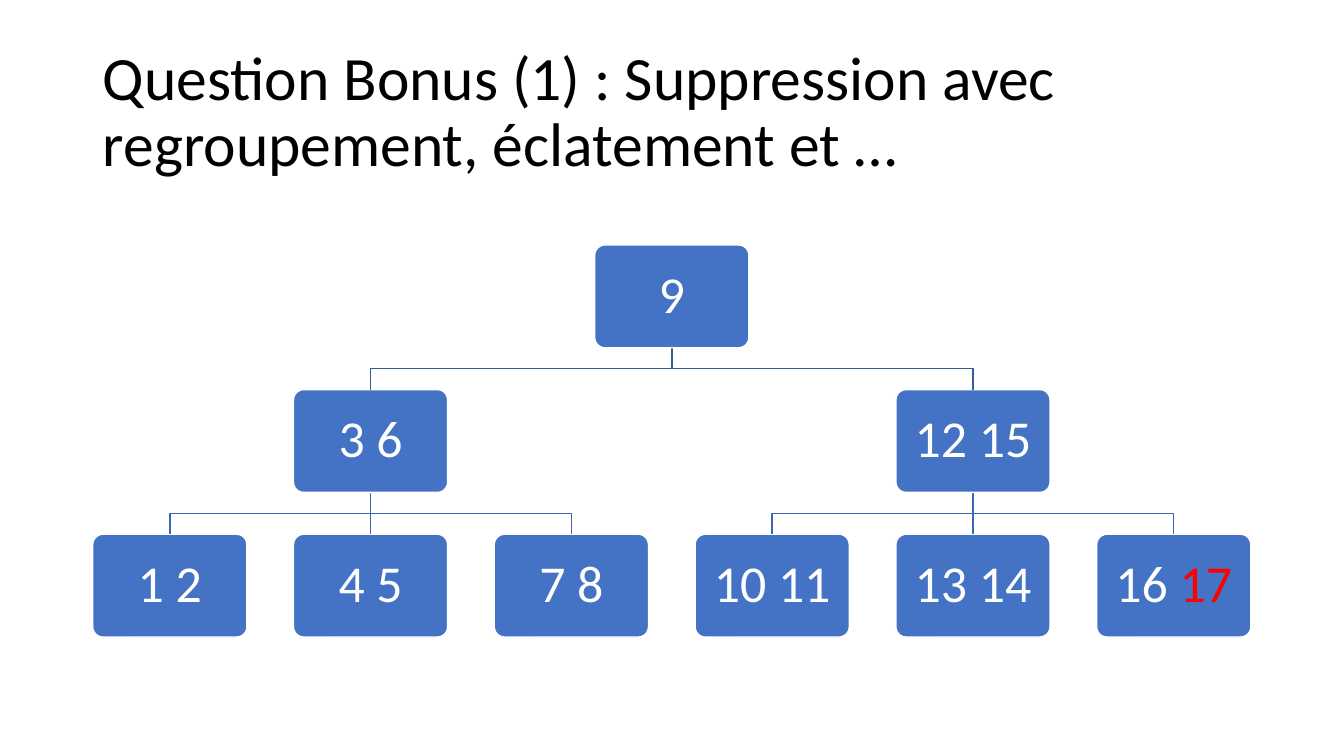
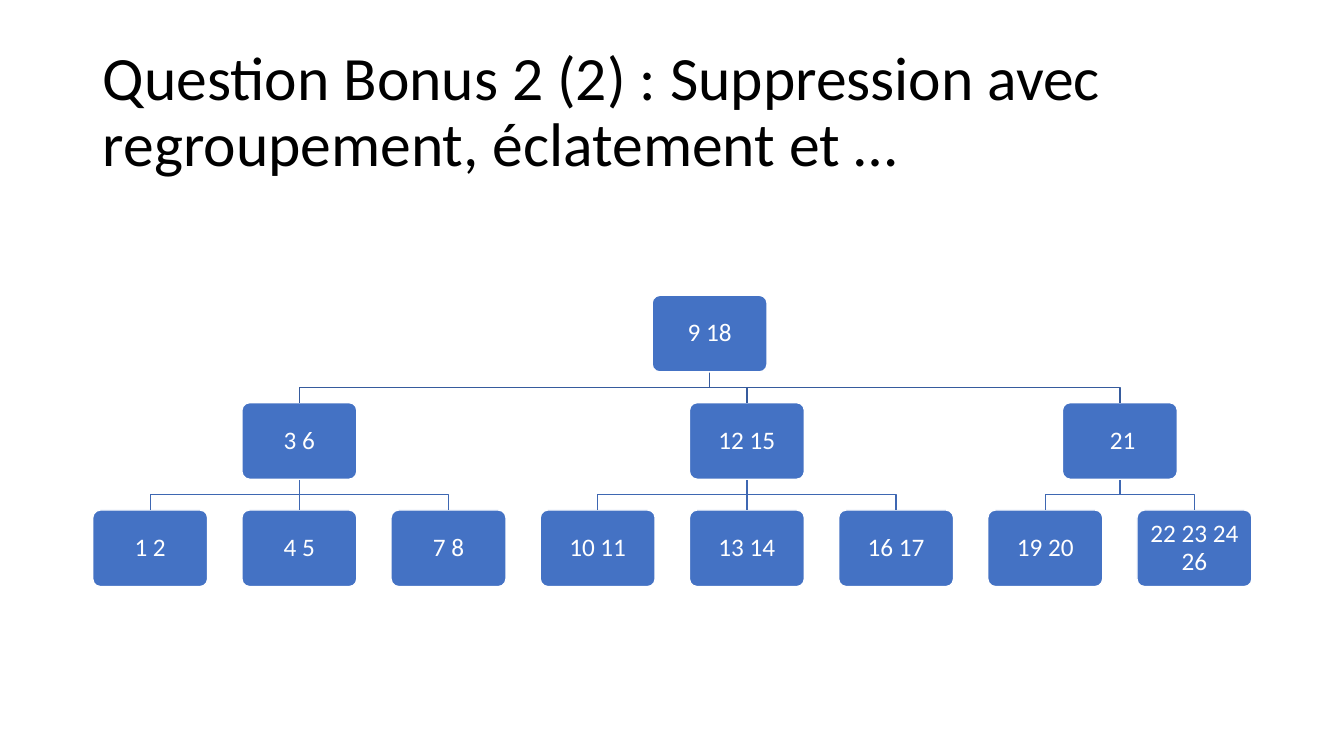
from dataclasses import dataclass

from lxml import etree
from pptx import Presentation
from pptx import util as u
from pptx.dml.color import RGBColor
from pptx.enum import shapes, text
from pptx.oxml.ns import qn

SCALE = 9144
FONT = "Calibri"
BLACK, WHITE, RED, BLUE = "000000", "FFFFFF", "FF0000", "4472C4"
LINE_COLORS = ["365B9D", "3E67B2"]
LEFT = 92


@dataclass
class Node:
    """A tree node: its keys, its children and an optional highlighted key."""
    keys: str
    children: tuple = ()
    accent: str = ""


@dataclass
class Layout:
    """Measures of a tree in px, with its text size in points."""
    top: int
    bottom_row: int
    width: int
    height: int
    right: int
    inset: int
    size: int


def px(n):
    """Turn px into EMU."""
    return u.Emu(round(n * SCALE))


def rgb(value):
    """Turn a hex string into a colour."""
    return RGBColor.from_string(value)


def add_text(p, content, size, color):
    """Add a formatted run to a paragraph."""
    r = p.add_run()
    r.text = content
    r.font.name = FONT
    r.font.size = u.Pt(size)
    r.font.color.rgb = rgb(color)


def format_frame(tf, align, inset_x, inset_y):
    """Set the shared frame format and return the first paragraph."""
    tf.word_wrap = True
    tf.auto_size = text.MSO_AUTO_SIZE.NONE
    tf.vertical_anchor = text.MSO_ANCHOR.MIDDLE
    tf.margin_left = tf.margin_right = px(inset_x)
    tf.margin_top = tf.margin_bottom = px(inset_y)
    p = tf.paragraphs[0]
    p.alignment = align
    p.line_spacing = 0.9
    return p


def add_slide(prs, title):
    """Add a title-only slide."""
    s = prs.slides.add_slide(prs.slide_layouts[5])
    sp = s.shapes.title
    sp.left, sp.top, sp.width, sp.height = map(px, (LEFT, 40, 1150, 145))
    p = format_frame(sp.text_frame, text.PP_ALIGN.LEFT, 10, 5)
    add_text(p, title, 44, BLACK)
    return s


def add_box(s, node, x, y, layout):
    """Draw a node box centred on x."""
    sp = s.shapes.add_shape(
        shapes.MSO_SHAPE.ROUNDED_RECTANGLE,
        px(x - layout.width / 2), px(y), px(layout.width), px(layout.height))
    sp.adjustments[0] = 0.1
    sp.shadow.inherit = False
    sp.fill.solid()
    sp.fill.fore_color.rgb = rgb(BLUE)
    sp.line.color.rgb = rgb(WHITE)
    sp.line.width = u.Pt(1)
    p = format_frame(sp.text_frame, text.PP_ALIGN.CENTER, layout.inset, layout.inset)
    add_text(p, node.keys, layout.size, WHITE)
    if node.accent:
        add_text(p, node.accent, layout.size, RED)


def add_link(s, x1, y1, x2, y2, color):
    """Link a parent to a child, with an elbow unless they are aligned."""
    if abs(x1 - x2) < 1:
        sp = s.shapes.add_connector(
            shapes.MSO_CONNECTOR.STRAIGHT, px(x1), px(y1), px(x2), px(y2))
        etree.SubElement(sp._element.spPr, qn("a:effectLst"))
    else:
        middle = (y1 + y2) / 2
        builder = s.shapes.build_freeform(px(x1), px(y1))
        bends = [(x1, middle), (x2, middle), (x2, y2)]
        builder.add_line_segments([(px(x), px(y)) for x, y in bends], close=False)
        sp = builder.convert_to_shape()
        sp.fill.background()
        sp.shadow.inherit = False
    sp.line.color.rgb = rgb(color)
    sp.line.width = u.Pt(1)


def count_leaves(node):
    """Count the leaves below a node."""
    return sum(map(count_leaves, node.children)) or 1


def add_tree(s, root, layout):
    """Draw a tree with evenly spaced leaves and centred parents."""
    pitch = (layout.right - LEFT - layout.width) / (count_leaves(root) - 1)
    row = (layout.bottom_row - layout.top) / 2

    def place(node, first_leaf, depth):
        """Draw a subtree and return the centre of its root."""
        y = layout.top + depth * row
        centers = []
        leaf = first_leaf
        for child in node.children:
            centers.append(place(child, leaf, depth + 1))
            leaf += count_leaves(child)
        if centers:
            x = (centers[0] + centers[-1]) / 2
        else:
            x = LEFT + layout.width / 2 + first_leaf * pitch
        for center in centers:
            add_link(s, x, y + layout.height, center, y + row, LINE_COLORS[depth])
        add_box(s, node, x, y, layout)
        return x

    place(root, 0, 0)


def main():
    """Build both slides."""
    prs = Presentation()
    prs.slide_width, prs.slide_height = u.Emu(12192000), px(750)
    low = Node("3 6", (Node("1 2"), Node("4 5"), Node("7 8")))
    ten, thirteen = Node("10 11"), Node("13 14")

    s = add_slide(prs, "Question Bonus (1) : Suppression avec regroupement, éclatement et …")
    high = Node("12 15", (ten, thirteen, Node("16 ", accent="17")))
    add_tree(s, Node("9", (low, high)), Layout(243, 530, 153, 102, 1241, 15, 37))

    s = add_slide(prs, "Question Bonus 2 (2) : Suppression avec regroupement, éclatement et …")
    middle = Node("12 15", (ten, thirteen, Node("16 17")))
    high = Node(" 21", (Node("19 20"), Node("22 23 24 26")))
    add_tree(s, Node("9 18", (low, middle, high)), Layout(293, 506, 114, 76, 1242, 7, 18))

    prs.save("out.pptx")


if __name__ == "__main__":
    main()
